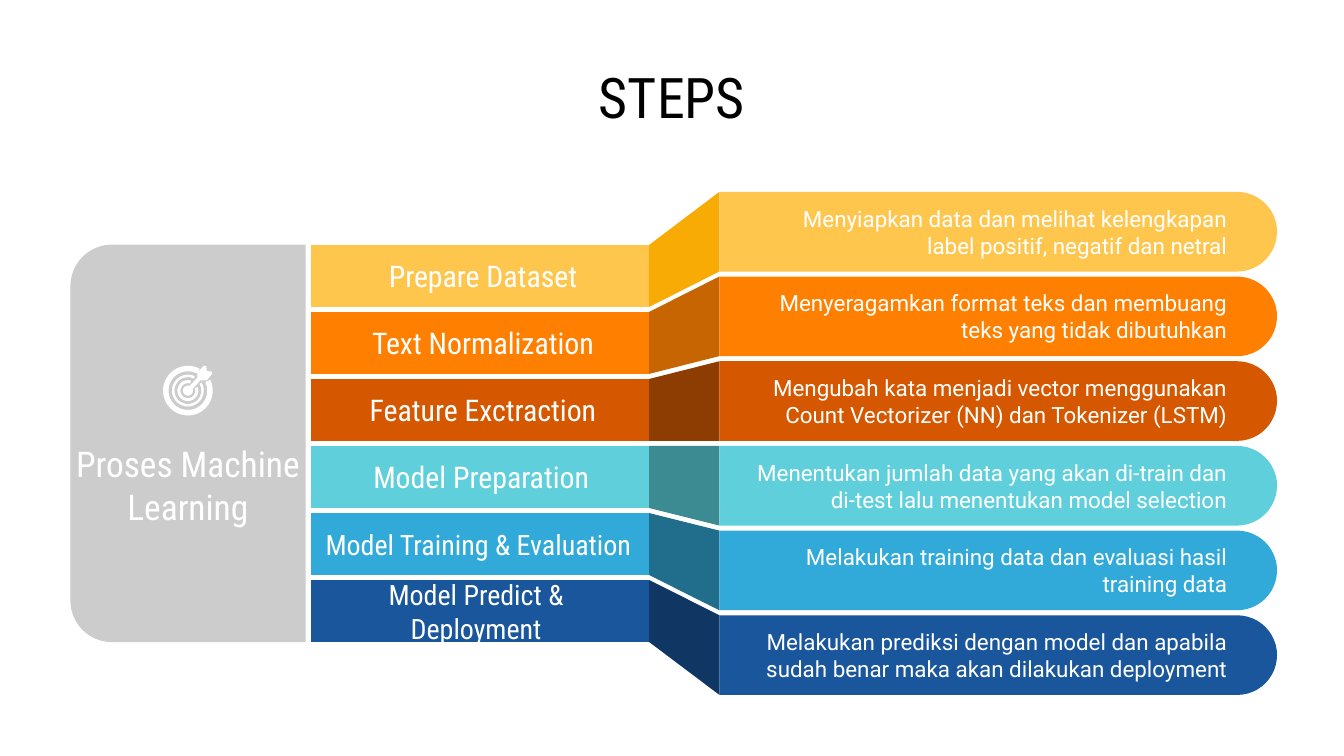
import math

from pptx import Presentation
from pptx.dml.color import RGBColor
from pptx.enum import shapes, text
from pptx.util import Pt

COLORS = {
    "white": "FFFFFF", "black": "000000", "panel": "CCCCCC",
    "yellow": "FFC64E", "yellow_fold": "F8AA05",
    "orange": "FF8001", "orange_fold": "C76502",
    "rust": "D55800", "rust_fold": "8D3C02",
    "aqua": "5FD0DB", "aqua_fold": "3D8B92",
    "blue": "32AAD9", "blue_fold": "216D8C",
    "navy": "1A569C", "navy_fold": "103764",
}
HEAD, BODY = "Roboto Condensed", "Roboto"

# colour, label, label size, label text width, description, description width
STEPS = [
    ("yellow", "Prepare Dataset", 16, 174,
     "Menyiapkan data dan melihat kelengkapan label positif, negatif dan netral", 267),
    ("orange", "Text Normalization", 16, 174,
     "Menyeragamkan format teks dan membuang teks yang tidak dibutuhkan", 276.5),
    ("rust", "Feature Exctraction", 16, 174,
     "Mengubah kata menjadi vector menggunakan Count Vectorizer (NN) dan Tokenizer (LSTM)", 267),
    ("aqua", "Model Preparation", 16, 176,
     "Menentukan jumlah data yang akan di-train dan di-test lalu menentukan model selection", 267),
    ("blue", "Model Training & Evaluation", 15, 179,
     "Melakukan training data dan evaluasi hasil training data", 258.5),
    ("navy", "Model Predict & Deployment", 15, 181.5,
     "Melakukan prediksi dengan model dan apabila sudah benar maka akan dilakukan deployment", 279),
]


def paint(sp, color):
    sp.shadow.inherit = False
    sp.fill.solid()
    sp.fill.fore_color.rgb = RGBColor.from_string(COLORS[color])
    sp.line.fill.background()


def add_text(s, box, words, size, font, align, color="white"):
    tf = s.shapes.add_textbox(*map(Pt, box)).text_frame
    tf.word_wrap = True
    tf.vertical_anchor = text.MSO_ANCHOR.MIDDLE
    tf.margin_left = tf.margin_right = tf.margin_top = tf.margin_bottom = Pt(7.2)
    p = tf.paragraphs[0]
    p.text = words
    p.alignment = align
    p.font.size = Pt(size)
    p.font.name = font
    p.font.color.rgb = RGBColor.from_string(COLORS[color])


def add_polygon(parent, points, color):
    pts = [(Pt(x), Pt(y)) for x, y in points]
    fb = parent.build_freeform(*pts[0])
    fb.add_line_segments(pts[1:], close=True)
    paint(fb.convert_to_shape(), color)


def add_side_rounded(s, box, rotation, radius, color):
    """Fill the box with a shape whose rounded end is turned sideways."""
    x, y, w, h = box
    sp = s.shapes.add_shape(
        shapes.MSO_SHAPE.ROUND_2_SAME_RECTANGLE,
        Pt(x + (w - h) / 2), Pt(y + (h - w) / 2), Pt(h), Pt(w))
    sp.rotation = rotation
    sp.adjustments[0], sp.adjustments[1] = radius, 0
    paint(sp, color)


def add_target_icon(s, box):
    x, y, w, h = box
    cx, cy, unit = x + w / 2, y + h / 2, w / 2

    def arc(r, start, end):
        """Points counterclockwise from start to end, in degrees."""
        angles = [math.radians(start + (end - start) * i / 48) for i in range(49)]
        return [(cx + unit * r * math.cos(a), cy - unit * r * math.sin(a)) for a in angles]

    icon = s.shapes.add_group_shape().shapes
    for outer, inner, start, end in [(1, 0.78, 62, 386), (0.64, 0.54, 64, 390),
                                     (0.42, 0.3, 72, 380)]:
        add_polygon(icon, arc(outer, start, end) + arc(inner, end, start), "white")
    dart = [(0.5, -0.41), (0.38, -0.53), (0.38, -0.74), (0.65, -1.01), (0.74, -0.98),
            (0.76, -0.79), (0.95, -0.77), (0.98, -0.68), (0.75, -0.41)]
    shaft_and_flight = [(cx + unit * dx, cy + unit * dy) for dx, dy in dart[1:] + dart[:1]]
    add_polygon(icon, arc(0.2, 70, 380) + shaft_and_flight[::-1], "white")


def add_process_panel(s, box):
    x, y, w, h = box
    add_side_rounded(s, box, 270, 0.177, "panel")
    cx = x + w / 2
    add_target_icon(s, (cx - 13.3, y + 65, 26.6, 26.6))
    add_text(s, (cx - 86.4, y + 107.5, 172.8, 42.5), "Proses Machine Learning",
             19, HEAD, text.PP_ALIGN.CENTER)


def add_steps(s, label_box, pill_box):
    """Stack labels and pills in their boxes and join each pair with a fold."""
    lx, ly, lw, lh = label_box
    px, py, pw, ph = pill_box
    gap = 2.7
    label_h = (lh - gap * (len(STEPS) - 1)) / len(STEPS)
    pill_h = (ph - gap * (len(STEPS) - 1)) / len(STEPS)
    right = lx + lw
    for i, (color, label, size, label_w, words, words_w) in enumerate(STEPS):
        top = ly + i * (label_h + gap)
        pill_top = py + i * (pill_h + gap)
        add_polygon(s.shapes, [(right, top), (right, top + label_h),
                               (px, pill_top + pill_h), (px, pill_top)], color + "_fold")
        add_polygon(s.shapes, [(lx, top), (lx, top + label_h),
                               (right, top + label_h), (right, top)], color)
        add_side_rounded(s, (px, pill_top, pw, pill_h), 90, 0.5, color)
        add_text(s, (right - 2 - label_w, top + 4.4, label_w, label_h - 8.8),
                 label, size, HEAD, text.PP_ALIGN.CENTER)
        add_text(s, (px + pw - 19.5 - words_w, pill_top, words_w, pill_h),
                 words, 12, BODY, text.PP_ALIGN.RIGHT)


def main():
    prs = Presentation()
    prs.slide_width, prs.slide_height = Pt(720), Pt(405)
    s = prs.slides.add_slide(prs.slide_layouts[6])
    add_text(s, (36, 32.4, 648, 38.2), "STEPS", 30, HEAD, text.PP_ALIGN.CENTER, "black")
    add_process_panel(s, (37.7, 131, 126, 213))
    add_steps(s, (166.4, 131.2, 181.4, 212.8), (385.4, 102.8, 298.7, 269.5))
    prs.save("out.pptx")


if __name__ == "__main__":
    main()
